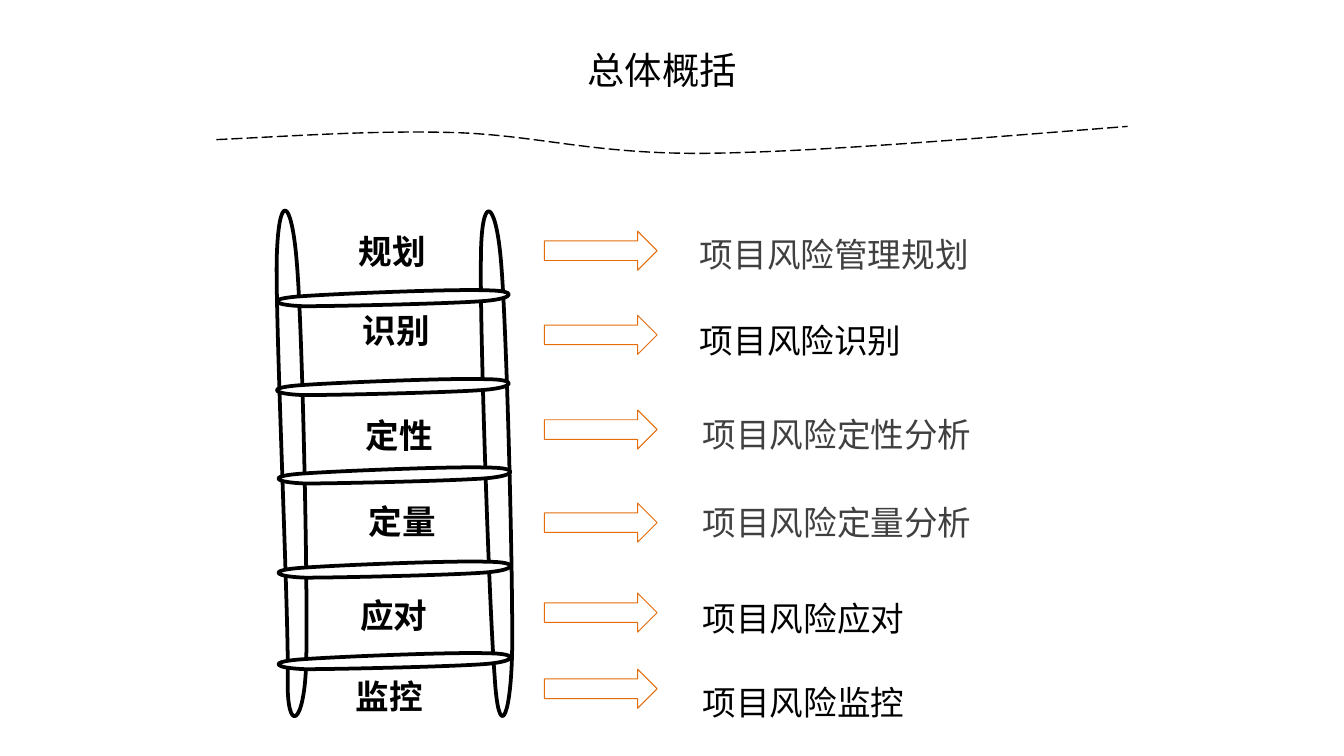
from lxml.etree import SubElement
from pptx import Presentation
from pptx.dml.color import RGBColor
from pptx.enum.dml import MSO_LINE
from pptx.enum.shapes import MSO_SHAPE
from pptx.enum.text import MSO_ANCHOR, PP_ALIGN
from pptx.oxml.ns import qn
from pptx.util import Cm, Pt

FONT = "Noto Sans CJK SC"
COLORS = {"black": "000000", "grey": "404040", "white": "FFFFFF", "orange": "E46C0A"}
RGB = {name: RGBColor.from_string(value) for name, value in COLORS.items()}


def put_text(sp, text, size=18, color="black", bold=False,
             align=PP_ALIGN.LEFT, spacing=None, anchor=MSO_ANCHOR.TOP):
    tf = sp.text_frame
    tf.word_wrap = True
    tf.vertical_anchor = anchor
    p = tf.paragraphs[0]
    p.alignment = align
    p.line_spacing = spacing
    r = p.add_run()
    r.text = text
    r.font.size = Pt(size)
    r.font.bold = bold
    r.font.name = FONT
    r.font.color.rgb = RGB[color]
    ea = r._r.get_or_add_rPr().makeelement(qn("a:ea"), {"typeface": FONT})
    r.font._element.find(qn("a:latin")).addnext(ea)


def add_curve(shapes, box, points, closed=True, width=2):
    """Draw joined cubic Bezier curves: a start, then three points per curve."""
    x, y, w, h = box
    builder = shapes.build_freeform(Cm(x), Cm(y))
    builder.add_line_segments([(Cm(x + w), Cm(y + h))], close=False)
    sp = builder.convert_to_shape()

    # Turn the box diagonal into the real Bezier outline
    path = sp._element.spPr.find(".//" + qn("a:path"))
    for command in list(path):
        path.remove(command)
    if closed:
        points = points + points[:1]
    for i, (px, py) in enumerate(points):
        if i == 0:
            command = SubElement(path, qn("a:moveTo"))
        elif i % 3 == 1:
            command = SubElement(path, qn("a:cubicBezTo"))
        SubElement(command, qn("a:pt"), x=str(Cm(px - x)), y=str(Cm(py - y)))

    sp.shadow.inherit = False
    if closed:
        SubElement(path, qn("a:close"))
        sp.fill.solid()
        sp.fill.fore_color.rgb = RGB["white"]
    else:
        sp.fill.background()
    sp.line.color.rgb = RGB["black"]
    sp.line.width = Pt(width)
    return sp


prs = Presentation()
prs.slide_width, prs.slide_height = Cm(25.4), Cm(14.29)
s = prs.slides.add_slide(prs.slide_layouts[5])

# Title and the dashed wave below it
title = s.shapes.title
title.left, title.top, title.width, title.height = Cm(8.97), Cm(0.76), Cm(7.09), Cm(1.12)
put_text(title, "总体概括", size=20, align=PP_ALIGN.CENTER, anchor=MSO_ANCHOR.MIDDLE)

WAVE = [(4.09, 2.64), (5.61, 2.57), (7.11, 2.46), (8.66, 2.51), (10.21, 2.57),
        (11.25, 2.92), (13.36, 2.9), (15.47, 2.87), (18.39, 2.62), (21.31, 2.39)]
wave = add_curve(s.shapes, (4.09, 2.39, 17.22, 0.51), WAVE, closed=False, width=0.75)
wave.line.dash_style = MSO_LINE.LONG_DASH

# Ladder: two rails, then five equal rungs
LEFT_RAIL = [(5.23, 4.93), (5.21, 6.22), (5.46, 11.68), (5.44, 12.8),
             (5.41, 13.92), (5.77, 13.74), (5.79, 12.45), (5.82, 11.15),
             (5.72, 6.22), (5.61, 4.95), (5.51, 3.71), (5.26, 3.61)]
RIGHT_RAIL = [(9.09, 4.93), (9.07, 6.22), (9.25, 11.56), (9.35, 12.78),
              (9.42, 14.02), (9.65, 13.64), (9.68, 12.34), (9.7, 11.02),
              (9.58, 6.2), (9.47, 4.95), (9.37, 3.73), (9.09, 3.63)]
RUNG = [(9.19, 5.49), (8.59, 5.46), (6.17, 5.56), (5.59, 5.61),
        (5.03, 5.66), (5.16, 5.77), (5.74, 5.79), (6.35, 5.79),
        (8.59, 5.74), (9.17, 5.69), (9.75, 5.64), (9.78, 5.49)]
RUNG_OFFSETS = [(0, 0), (0, 1.68), (0.03, 3.35), (0.03, 5.13), (0.03, 6.86)]

add_curve(s.shapes, (5.23, 3.99, 0.56, 9.55), LEFT_RAIL)
add_curve(s.shapes, (9.07, 3.99, 0.61, 9.55), RIGHT_RAIL)
for dx, dy in RUNG_OFFSETS:
    add_curve(s.shapes, (5.22 + dx, 5.48 + dy, 4.39, 0.31),
              [(x + dx, y + dy) for x, y in RUNG])

# Steps: label on the ladder, arrow, full name
STEPS = [  # label, x, y, arrow y, name, x, y, colour
    ("规划", 5.99, 4.25, 4.37, "项目风险管理规划", 12.98, 3.91, "grey"),
    ("识别", 6.07, 5.74, 5.96, "项目风险识别", 12.98, 5.54, "black"),
    ("定性", 6.13, 7.71, 7.75, "项目风险定性分析", 13.03, 7.32, "grey"),
    ("定量", 6.18, 9.35, 9.51, "项目风险定量分析", 13.03, 8.99, "grey"),
    ("应对", 6.02, 11.13, 11.21, "项目风险应对", 13.03, 10.8, "black"),
    ("监控", 5.94, 12.65, 12.65, "项目风险监控", 13.03, 12.39, "black"),
]
for label, label_x, label_y, arrow_y, name, name_x, name_y, color in STEPS:
    sp = s.shapes.add_textbox(Cm(label_x), Cm(label_y), Cm(2.84), Cm(1.02))
    put_text(sp, label, bold=True, align=PP_ALIGN.CENTER)

    arrow = s.shapes.add_shape(MSO_SHAPE.RIGHT_ARROW, Cm(10.29), Cm(arrow_y), Cm(2.13), Cm(0.74))
    arrow.shadow.inherit = False
    arrow.fill.background()
    arrow.line.color.rgb = RGB["orange"]
    arrow.line.width = Pt(0.5)

    sp = s.shapes.add_textbox(Cm(name_x), Cm(name_y), Cm(8.46), Cm(1.4))
    put_text(sp, name, color=color, spacing=1.5)

prs.save("out.pptx")
